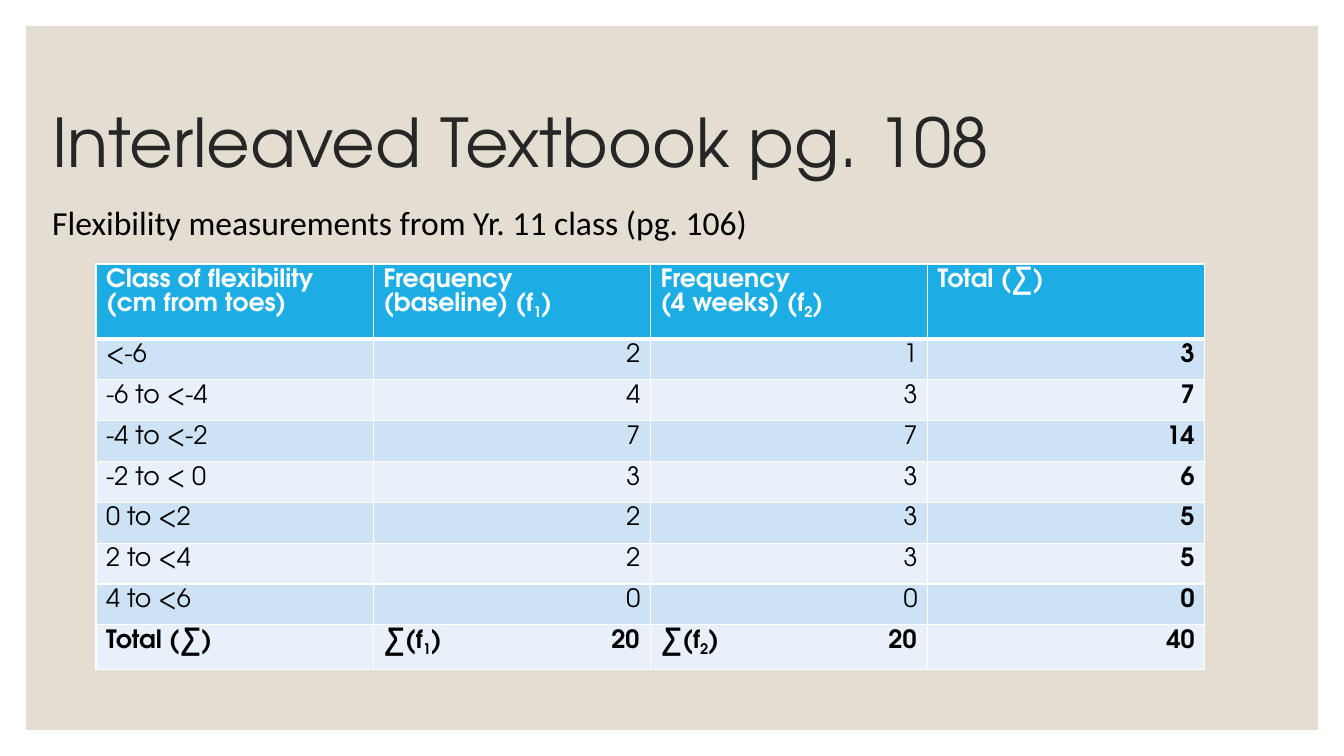
from dataclasses import dataclass

from lxml.etree import SubElement
from pptx import Presentation
from pptx.dml.color import RGBColor
from pptx.enum.shapes import MSO_SHAPE
from pptx.enum.text import MSO_ANCHOR, PP_ALIGN
from pptx.oxml.ns import qn
from pptx.util import Pt

# Content: in a tuple, every second piece is a subscript
TITLE = "Interleaved Textbook pg. 108"
SUBTITLE = "Flexibility measurements from Yr. 11 class (pg. 106)"
HEADER = [
    "Class of flexibility (cm from toes)",
    ("Frequency\n(baseline) (f", "1", ")"),
    ("Frequency\n(4 weeks) (f", "2", ")"),
    "Total (∑)",
]
CLASSES = [
    ("<-6", 2, 1, 3),
    ("-6 to <-4", 4, 3, 7),
    ("-4 to <-2", 7, 7, 14),
    ("-2 to < 0", 3, 3, 6),
    ("0 to <2", 2, 3, 5),
    ("2 to <4", 2, 3, 5),
    ("4 to <6", 0, 0, 0),
]
TOTALS = ["Total (∑)", ("∑(f", "1", ")\t20"), ("∑(f", "2", ")\t20"), 40]


@dataclass
class Theme:
    heading_font: str = "TeX Gyre Adventor"
    body_font: str = "Calibri"
    title_size: int = 48
    subtitle_size: int = 24
    table_size: int = 18
    panel: str = "E3DED1"
    title: str = "262626"
    ink: str = "000000"
    white: str = "FFFFFF"
    header: str = "1CADE4"
    bands: tuple = ("CDE3F5", "E8F1FA")


theme = Theme()


def color(value):
    return RGBColor.from_string(value)


def set_font(para, name, size, ink, bold=False):
    font = para.font
    font.name, font.size, font.bold = name, Pt(size), bold
    font.color.rgb = color(ink)


def add_text(page, words, left, top, width, height):
    box = page.shapes.add_textbox(Pt(left), Pt(top), Pt(width), Pt(height))
    box.text_frame.word_wrap = True
    para = box.text_frame.paragraphs[0]
    para.add_run().text = words
    return box.text_frame, para


def write_pieces(para, content):
    pieces = content if isinstance(content, tuple) else (str(content),)
    for index, piece in enumerate(pieces):
        for line_number, line in enumerate(piece.split("\n")):
            if line_number:
                para.add_line_break()
            span = para.add_run()
            span.text = line
            if index % 2:
                span.font._element.set("baseline", "-25000")


def add_right_tab(para, position):
    stops = SubElement(para._p.get_or_add_pPr(), qn("a:tabLst"))
    SubElement(stops, qn("a:tab"), pos=str(Pt(position)), algn="r")


def set_borders(cell, bottom_width):
    properties = cell._tc.get_or_add_tcPr()
    widths = {"a:lnL": 1, "a:lnR": 1, "a:lnT": 1, "a:lnB": bottom_width}
    for place, (side, width) in enumerate(widths.items()):
        line = SubElement(properties, qn(side), w=str(Pt(width)))
        fill = SubElement(line, qn("a:solidFill"))
        SubElement(fill, qn("a:srgbClr"), val=theme.white)
        properties.insert(place, line)


deck = Presentation()
deck.slide_width, deck.slide_height = Pt(960), Pt(540)
page = deck.slides.add_slide(deck.slide_layouts[6])

# Background panel
MARGIN = 18.7
panel = page.shapes.add_shape(
    MSO_SHAPE.RECTANGLE, Pt(MARGIN), Pt(MARGIN),
    Pt(960 - 2 * MARGIN), Pt(540 - 2 * MARGIN))
panel.shadow.inherit = False
panel.fill.solid()
panel.fill.fore_color.rgb = color(theme.panel)
panel.line.fill.background()

# Title and subtitle
TEXT_LEFT = 30.2
frame, para = add_text(page, TITLE, TEXT_LEFT, 50.4, 800, 108)
frame.vertical_anchor = MSO_ANCHOR.MIDDLE
para.line_spacing = 0.9
set_font(para, theme.heading_font, theme.title_size, theme.title)

frame, para = add_text(page, SUBTITLE, TEXT_LEFT, 140.4, 683, 36)
set_font(para, theme.body_font, theme.subtitle_size, theme.ink)

# Frequency table
rows = [HEADER, *CLASSES, TOTALS]
COLUMN_WIDTH, ROW_HEIGHT, HEADER_HEIGHT, TOTALS_HEIGHT = 198, 29.2, 52.8, 31.4
heights = [HEADER_HEIGHT, *[ROW_HEIGHT] * len(CLASSES), TOTALS_HEIGHT]
table = page.shapes.add_table(
    len(rows), len(HEADER), Pt(68.6), Pt(188.6),
    Pt(COLUMN_WIDTH * len(HEADER)), Pt(sum(heights))).table
for column in table.columns:
    column.width = Pt(COLUMN_WIDTH)

for row_index, row in enumerate(rows):
    table.rows[row_index].height = Pt(heights[row_index])
    is_header, is_total = row is HEADER, row is TOTALS
    for column_index, content in enumerate(row):
        cell = table.cell(row_index, column_index)
        cell.fill.solid()
        cell.fill.fore_color.rgb = color(
            theme.header if is_header else theme.bands[(row_index - 1) % 2])
        set_borders(cell, 3 if is_header else 1)
        para = cell.text_frame.paragraphs[0]
        write_pieces(para, content)
        if isinstance(content, int):
            para.alignment = PP_ALIGN.RIGHT
        if is_total and isinstance(content, tuple):
            add_right_tab(para, COLUMN_WIDTH - 15)
        set_font(para, theme.heading_font, theme.table_size,
                 theme.white if is_header else theme.ink,
                 is_header or is_total or column_index == len(HEADER) - 1)

deck.save("out.pptx")
